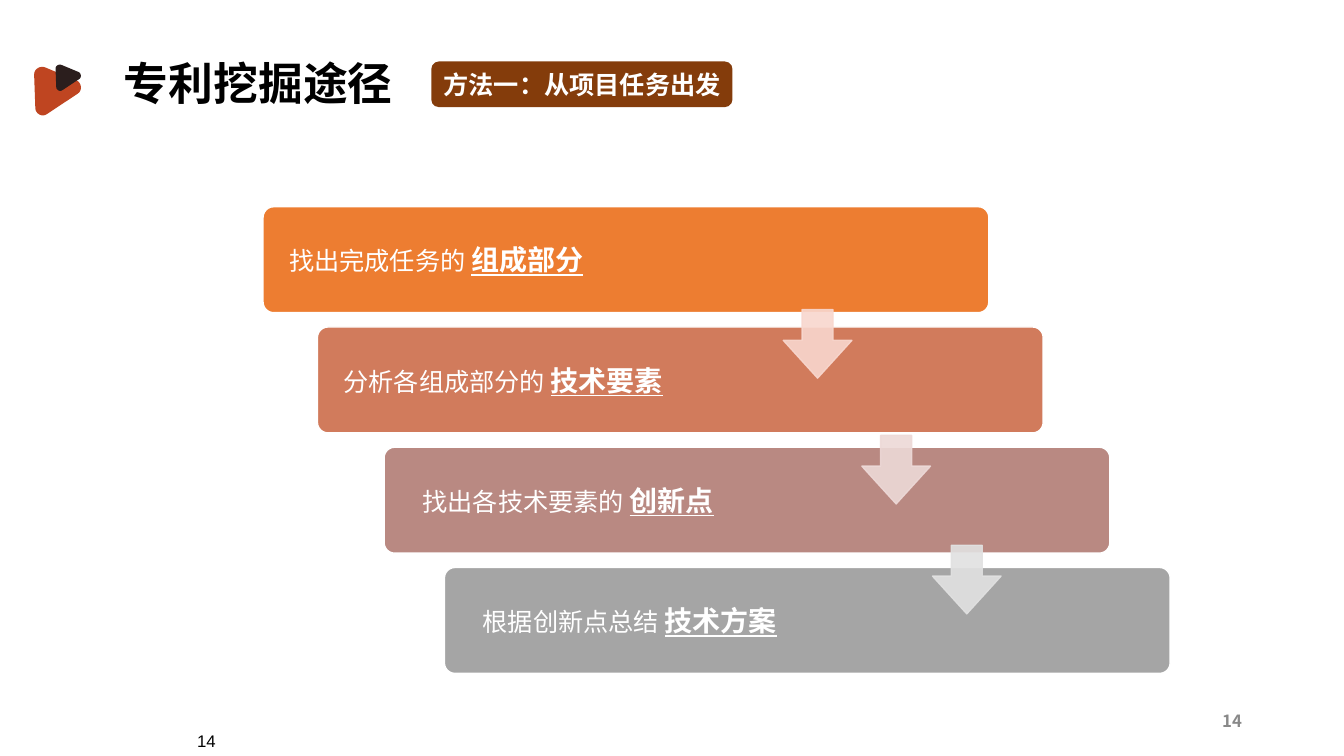
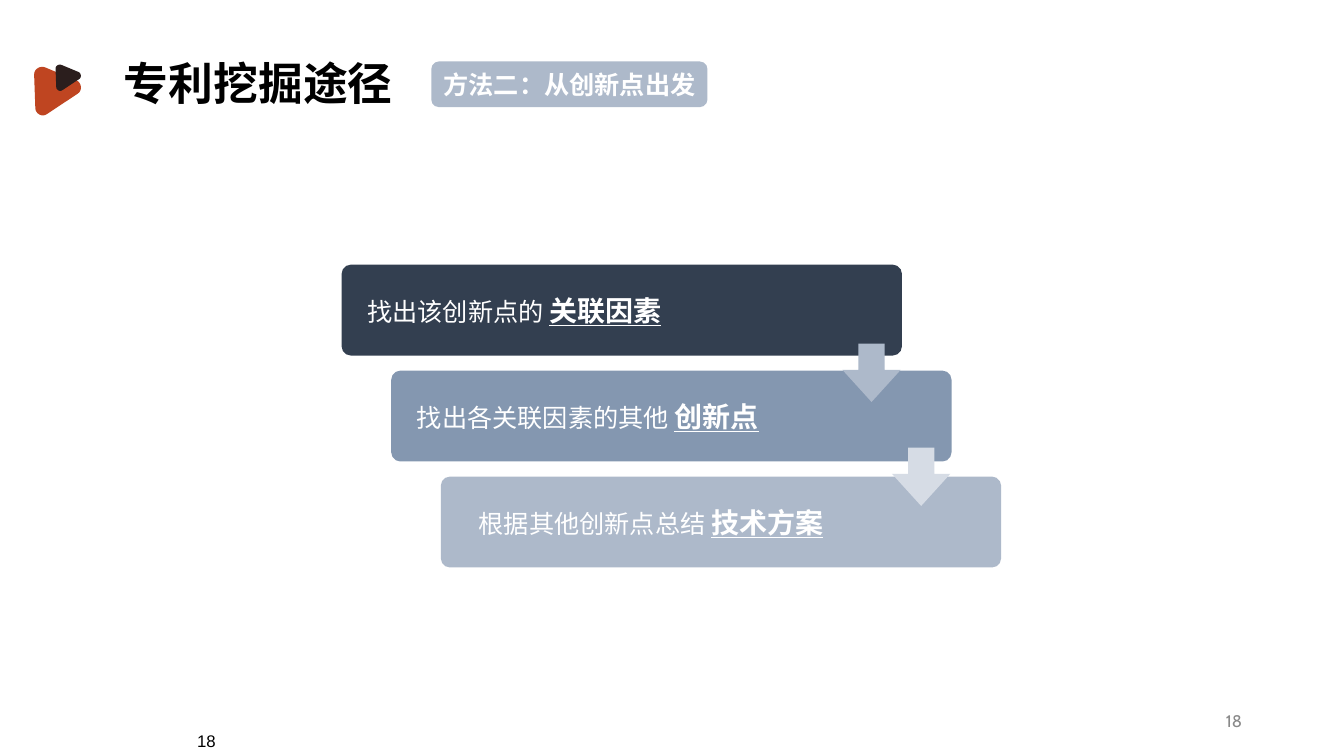
from lxml import etree
from pptx import Presentation
from pptx.dml.color import RGBColor
from pptx.enum import shapes, text
from pptx.oxml import ns
from pptx.util import Cm, Pt

SANS = "Noto Sans CJK SC"
COLOURS = {
    "white": "FFFFFF", "black": "000000", "page": "898989",
    "brown": "843C0B", "orange": "ED7D31", "terracotta": "D17B5C",
    "rose": "B98982", "grey": "A5A5A5", "peach": "F8D7CE",
    "blush": "EDD9D7", "silver": "E1E1E1", "navy": "333F50",
    "steel": "8497B0", "mist": "ADB9CA", "pale": "D6DCE5",
    "rust": "BF4521", "charcoal": "2B1E1D",
}
MARKER_CORNERS = [
    [(0.03, 1.07), (0.03, 1.22), (0.21, 1.32), (0.33, 1.22)],
    [(1.1, 0.71), (1.22, 0.64), (1.2, 0.43), (1.07, 0.38)],
    [(0.28, 0.05), (0.16, 0), (0, 0.08), (0, 0.23)],
]
CORNER_STEPS = 8
BAR_SIDE_MARGIN = 0.58
BAR_WIDE_MARGIN = 0.89

SLIDES = [
    {
        "method": "方法一：从项目任务出发", "badge_width": 7.59, "badge_colour": "brown",
        "number": "14", "number_font": SANS, "number_bold": True,
        "top": 5.21, "pitch": 3.03, "bar_size": (18.29, 2.67), "outline": "white",
        "bars": [
            (6.63, "orange", "找出完成任务的 ", "组成部分", BAR_SIDE_MARGIN),
            (8, "terracotta", "分析各组成部分的 ", "技术要素", BAR_SIDE_MARGIN),
            (9.68, "rose", "找出各技术要素的 ", "创新点", BAR_WIDE_MARGIN),
            (11.2, "grey", "根据创新点总结 ", "技术方案", BAR_WIDE_MARGIN),
        ],
        "arrow_size": 1.73, "arrow_alpha": 90,
        "arrows": [(19.74, 7.8, "peach"), (21.72, 10.97, "blush"), (23.5, 13.74, "silver")],
    },
    {
        "method": "方法二：从创新点出发", "badge_width": 6.96, "badge_colour": "mist",
        "number": "18", "number_font": "Cabin", "number_bold": False,
        "top": 6.67, "pitch": 2.67, "bar_size": (14.12, 2.29), "outline": None,
        "bars": [
            (8.61, "navy", "找出该创新点的 ", "关联因素", BAR_SIDE_MARGIN),
            (9.86, "steel", "找出各关联因素的其他 ", "创新点", BAR_SIDE_MARGIN),
            (11.11, "mist", "根据其他创新点总结 ", "技术方案", BAR_WIDE_MARGIN),
        ],
        "arrow_size": 1.47, "arrow_alpha": None,
        "arrows": [(21.23, 8.66, "mist"), (22.48, 11.28, "pale")],
    },
]


def rgb(name):
    return RGBColor.from_string(COLOURS[name])


def add_run(paragraph, content, size, font, colour, bold, underline=None):
    run = paragraph.add_run()
    run.text = content
    run.font.size = Pt(size)
    run.font.bold = bold
    run.font.underline = underline
    run.font.color.rgb = rgb(colour)
    run.font.name = font
    east_asian = etree.SubElement(run.font._element, ns.qn("a:ea"))
    east_asian.set("typeface", font)


def write(shape, content, size=18, font=SANS, colour="white", bold=False, strong="",
          align=text.PP_ALIGN.LEFT, anchor=text.MSO_ANCHOR.MIDDLE, wrap=True,
          line_spacing=None, margin_left=0.25):
    frame = shape.text_frame
    frame.word_wrap = wrap
    frame.vertical_anchor = anchor
    frame.margin_left = Cm(margin_left)
    paragraph = frame.paragraphs[0]
    paragraph.alignment = align
    paragraph.line_spacing = line_spacing
    add_run(paragraph, content, size, font, colour, bold)
    if strong:
        add_run(paragraph, strong, size + 2, font, colour, True, True)


def set_alpha(shape, percent):
    for colour in shape._element.spPr.iter(ns.qn("a:srgbClr")):
        etree.SubElement(colour, ns.qn("a:alpha")).set("val", str(percent * 1000))


def paint(shape, fill, outline=None):
    shape.shadow.inherit = False
    shape.fill.solid()
    shape.fill.fore_color.rgb = rgb(fill)
    if outline:
        shape.line.color.rgb = rgb(outline)
        shape.line.width = Pt(1)
    else:
        shape.line.fill.background()


def add_preset(slide, kind, box, fill, outline=None, adjustments=()):
    shape = slide.shapes.add_shape(kind, *map(Cm, box))
    for index, value in enumerate(adjustments):
        shape.adjustments[index] = value
    paint(shape, fill, outline)
    return shape


def curve_points(corner):
    for step in range(CORNER_STEPS + 1):
        t = step / CORNER_STEPS
        weights = ((1 - t) ** 3, 3 * t * (1 - t) ** 2, 3 * t ** 2 * (1 - t), t ** 3)
        yield tuple(sum(w * point[axis] for w, point in zip(weights, corner)) for axis in (0, 1))


def add_marker(slide, left, top, scale, fill):
    points = [(Cm(left + x * scale), Cm(top + y * scale))
              for corner in MARKER_CORNERS for x, y in curve_points(corner)]
    builder = slide.shapes.build_freeform(*points[0])
    builder.add_line_segments(points[1:], close=True)
    paint(builder.convert_to_shape(), fill)


def add_label(slide, box, content, **formatting):
    write(slide.shapes.add_textbox(*map(Cm, box)), content, size=12, **formatting)


def add_title(slide, content):
    title = slide.shapes.title
    title.left, title.top, title.width, title.height = map(Cm, (2.87, 1.55, 7.29, 1.35))
    write(title, content, size=32, colour="black", bold=True, wrap=False,
          anchor=text.MSO_ANCHOR.TOP, line_spacing=0.8)


def add_header(slide, content):
    add_title(slide, "专利挖掘途径")
    badge = add_preset(slide, shapes.MSO_SHAPE.ROUNDED_RECTANGLE,
                       (10.87, 1.55, content["badge_width"], 1.15), content["badge_colour"])
    write(badge, content["method"], bold=True, wrap=False)
    add_marker(slide, 0.86, 1.65, 1, "rust")
    add_marker(slide, 1.4, 1.61, 0.54, "charcoal")


def add_numbers(slide, content):
    add_label(slide, (23.93, 17.65, 7.62, 1.02), content["number"], colour="page",
              font=content["number_font"], bold=content["number_bold"],
              align=text.PP_ALIGN.RIGHT)
    add_label(slide, (4.72, 17.78, 8.05, 1.27), content["number"], colour="black",
              font="Arial", anchor=text.MSO_ANCHOR.BOTTOM)


def add_staircase(slide, content):
    for index, (left, fill, phrase, strong, margin) in enumerate(content["bars"]):
        top = content["top"] + index * content["pitch"]
        bar = add_preset(slide, shapes.MSO_SHAPE.ROUNDED_RECTANGLE,
                         (left, top, *content["bar_size"]), fill, content["outline"], [0.1])
        write(bar, phrase, strong=strong, margin_left=margin)
    size, alpha = content["arrow_size"], content["arrow_alpha"]
    for left, top, fill in content["arrows"]:
        arrow = add_preset(slide, shapes.MSO_SHAPE.DOWN_ARROW, (left, top, size, size), fill,
                           fill if alpha else None, [0.45, 0.55])
        if alpha:
            set_alpha(arrow, alpha)


def main():
    presentation = Presentation()
    presentation.slide_width = Cm(33.87)
    presentation.slide_height = Cm(19.05)
    for content in SLIDES:
        slide = presentation.slides.add_slide(presentation.slide_layouts[5])
        add_numbers(slide, content)
        add_staircase(slide, content)
        add_header(slide, content)
    presentation.save("out.pptx")


if __name__ == "__main__":
    main()
